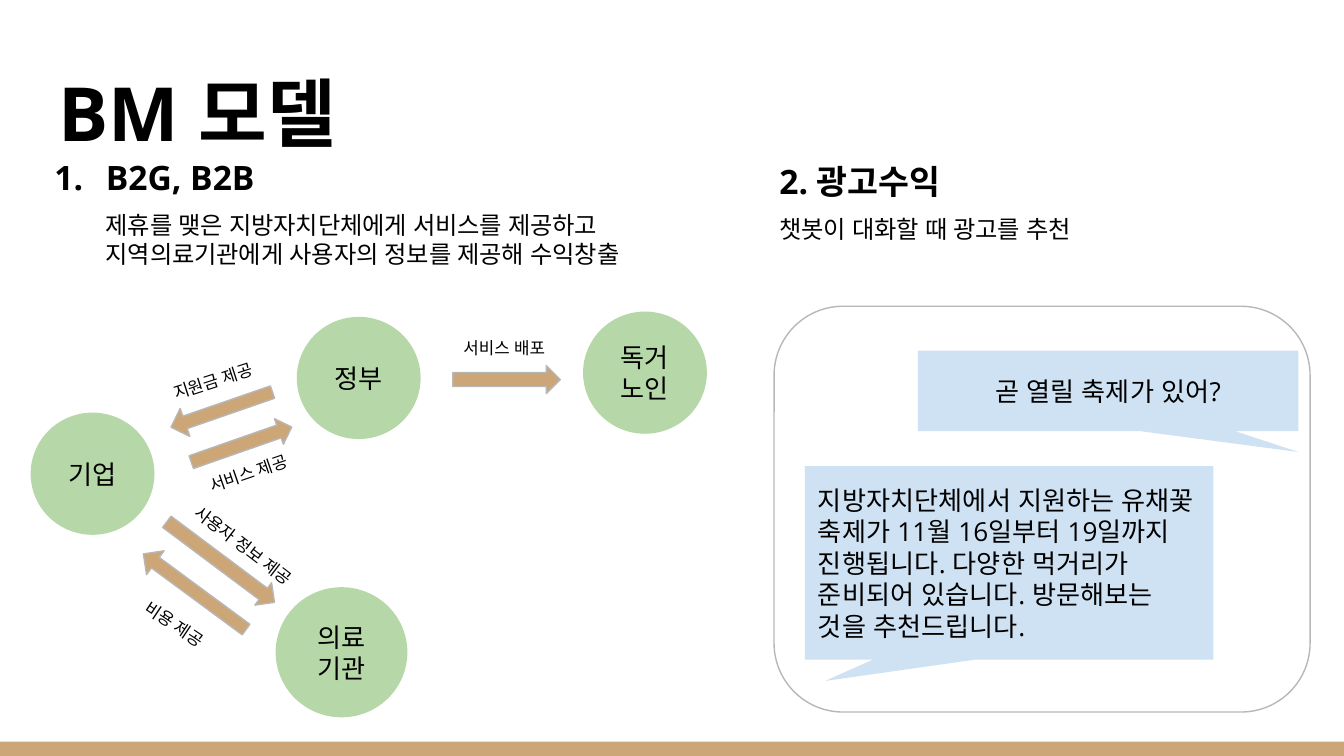
from dataclasses import dataclass

from lxml import etree
from pptx import Presentation
from pptx.dml.color import RGBColor
from pptx.enum.shapes import MSO_SHAPE
from pptx.enum.text import MSO_ANCHOR, MSO_AUTO_SIZE, PP_ALIGN
from pptx.oxml.ns import qn
from pptx.util import Cm, Pt

RECTANGLE, ROUNDED = MSO_SHAPE.RECTANGLE, MSO_SHAPE.ROUNDED_RECTANGLE
OVAL, BUBBLE = MSO_SHAPE.OVAL, MSO_SHAPE.ROUNDED_RECTANGULAR_CALLOUT
RIGHT, DOWN = MSO_SHAPE.RIGHT_ARROW, MSO_SHAPE.DOWN_ARROW
TOP, MIDDLE, BOTTOM = MSO_ANCHOR.TOP, MSO_ANCHOR.MIDDLE, MSO_ANCHOR.BOTTOM
LEFT, CENTER = PP_ALIGN.LEFT, PP_ALIGN.CENTER
NO_AUTOFIT = MSO_AUTO_SIZE.NONE


@dataclass(frozen=True)
class Theme:
    font: str = "Open Sans"
    ink: str = "000000"
    paper: str = "FFFFFF"
    tan: str = "CCA677"
    outline: str = "B7B7B7"
    green: str = "B6D7A8"
    blue: str = "CFE2F3"
    title: float = 40
    heading: float = 18
    body: float = 14
    detail: float = 13
    label: float = 9
    inset: float = 0.25
    line: float = 0.75
    gap: float = 7


THEME = Theme()

CIRCLES = [
    ("기업", (0.58, 7.8, 2.34, 2.31)),
    ("정부", (5.61, 5.99, 2.34, 2.31)),
    ("독거\n노인", (11.02, 5.89, 2.34, 2.31)),
    ("의료\n기관", (5.21, 11.1, 2.49, 2.46)),
]
ARROWS = [
    (RIGHT, (8.56, 6.91, 2.03, 0.53), 0),
    (DOWN, (3.91, 6.73, 0.56, 2.03), 70.9),
    (RIGHT, (3.56, 8.15, 2.01, 0.51), 340.7),
    (RIGHT, (2.9, 10.36, 2.54, 0.53), 36.8),
    (DOWN, (3.4, 9.98, 0.56, 2.41), 126.4),
]
ARROW_ADJUSTMENTS = {RIGHT: (0.5, 0.5), DOWN: (0.44, 0.5)}
FLOW_LABELS = [
    ("서비스 배포", (8.51, 6.22, 2.34, 0.33), 0),
    ("지원금 제공", (3, 6.6, 3.05, 0.99), 342),
    ("서비스 제공", (3.66, 8.41, 2.59, 0.89), 340.9),
    ("사용자 정보 제공", (3.23, 9.93, 2.92, 0.89), 37.5),
    ("비용 제공", (2.29, 11.71, 3.05, 0.99), 33.7),
]
QUESTION = "곧 열릴 축제가 있어?"
ANSWER = (
    "지방자치단체에서 지원하는 유채꽃 축제가 11월 16일부터 19일까지 진행됩니다. "
    "다양한 먹거리가 준비되어 있습니다. 방문해보는 것을 추천드립니다."
)
PARTNERSHIP = (
    "제휴를 맺은 지방자치단체에게 서비스를 제공하고 "
    "지역의료기관에게 사용자의 정보를 제공해 수익창출"
)


def lengths(box):
    return [Cm(value) for value in box]


def style_paragraph(paragraph, size, bold=False, align=LEFT):
    paragraph.alignment = align
    for run in paragraph.runs:
        run.font.name = THEME.font
        run.font.size = Pt(size)
        run.font.bold = bold
        run.font.color.rgb = RGBColor.from_string(THEME.ink)
        east_asian = etree.Element(qn("a:ea"), typeface=THEME.font)
        run.font._element.find(qn("a:latin")).addnext(east_asian)


def write(holder, text, size, bold=False, align=LEFT, anchor=TOP):
    frame = holder.text_frame
    frame.text = text
    frame.word_wrap = True
    frame.auto_size = NO_AUTOFIT
    frame.vertical_anchor = anchor
    frame.margin_left = frame.margin_right = Cm(THEME.inset)
    frame.margin_top = frame.margin_bottom = Cm(THEME.inset)
    for paragraph in frame.paragraphs:
        style_paragraph(paragraph, size, bold, align)
    return frame


def add_figure(slide, kind, box, fill, line=None, adjustments=(), rotation=0):
    figure = slide.shapes.add_shape(kind, *lengths(box))
    figure.shadow.inherit = False
    figure.rotation = rotation
    figure.fill.solid()
    figure.fill.fore_color.rgb = RGBColor.from_string(fill)
    if line:
        figure.line.color.rgb = RGBColor.from_string(line)
        figure.line.width = Pt(THEME.line)
    else:
        figure.line.fill.background()
    for index, value in enumerate(adjustments):
        figure.adjustments[index] = value
    return figure


def add_title(slide, text, box):
    title = slide.shapes.title
    title.left, title.top, title.width, title.height = lengths(box)
    write(title, text, THEME.title, bold=True, anchor=BOTTOM)


def add_circle(slide, text, box):
    circle = add_figure(slide, OVAL, box, THEME.green)
    write(circle, text, THEME.body, align=CENTER, anchor=MIDDLE)


def add_bubble(slide, text, box, tail, align):
    bubble = add_figure(slide, BUBBLE, box, THEME.blue, adjustments=(*tail, 0))
    write(bubble, text, THEME.body, align=align, anchor=MIDDLE)


def add_flow_label(slide, text, box, rotation):
    label = slide.shapes.add_textbox(*lengths(box))
    label.rotation = rotation
    write(label, text, THEME.label)


def add_section(slide, heading, detail, box):
    section = slide.shapes.add_textbox(*lengths(box))
    frame = write(section, heading, THEME.heading, bold=True)
    explanation = frame.add_paragraph()
    explanation.text = detail
    explanation.space_before = Pt(THEME.gap)
    style_paragraph(explanation, THEME.detail)
    return frame.paragraphs


def number_heading(heading, explanation):
    for paragraph, indent in ((heading, -0.97), (explanation, 0)):
        properties = paragraph._p.get_or_add_pPr()
        properties.set("marL", str(Cm(1.27)))
        properties.set("indent", str(Cm(indent)))
    numbering = heading._p.get_or_add_pPr()
    colour = etree.SubElement(numbering, qn("a:buClr"))
    etree.SubElement(colour, qn("a:srgbClr"), val=THEME.ink)
    etree.SubElement(numbering, qn("a:buFont"), typeface=THEME.font)
    etree.SubElement(numbering, qn("a:buAutoNum"), type="arabicPeriod")


def main():
    presentation = Presentation()
    presentation.slide_width, presentation.slide_height = Cm(25.4), Cm(14.29)
    slide = presentation.slides.add_slide(presentation.slide_layouts[5])

    add_figure(slide, RECTANGLE, (0, 14.02, 25.4, 0.27), THEME.tan)
    add_figure(slide, ROUNDED, (14.63, 5.79, 10.13, 7.67), THEME.paper,
               THEME.outline, (0.17,))
    add_title(slide, "BM 모델", (0.86, 0.89, 23.67, 2.31))

    partnership = add_section(slide, "B2G, B2B", PARTNERSHIP,
                              (0.48, 2.72, 13.49, 3.18))
    number_heading(*partnership)
    add_section(slide, "2. 광고수익", "챗봇이 대화할 때 광고를 추천",
                (14.48, 2.79, 10.44, 2.06))

    for text, box in CIRCLES:
        add_circle(slide, text, box)
    for kind, box, rotation in ARROWS:
        add_figure(slide, kind, box, THEME.tan, THEME.outline,
                   ARROW_ADJUSTMENTS[kind], rotation)
    for text, box, rotation in FLOW_LABELS:
        add_flow_label(slide, text, box, rotation)

    add_bubble(slide, QUESTION, (17.35, 6.63, 7.19, 1.52), (0.5, 0.76), CENTER)
    add_bubble(slide, ANSWER, (15.21, 8.81, 7.72, 3.66), (-0.45, 0.61), LEFT)

    presentation.save("out.pptx")


if __name__ == "__main__":
    main()
